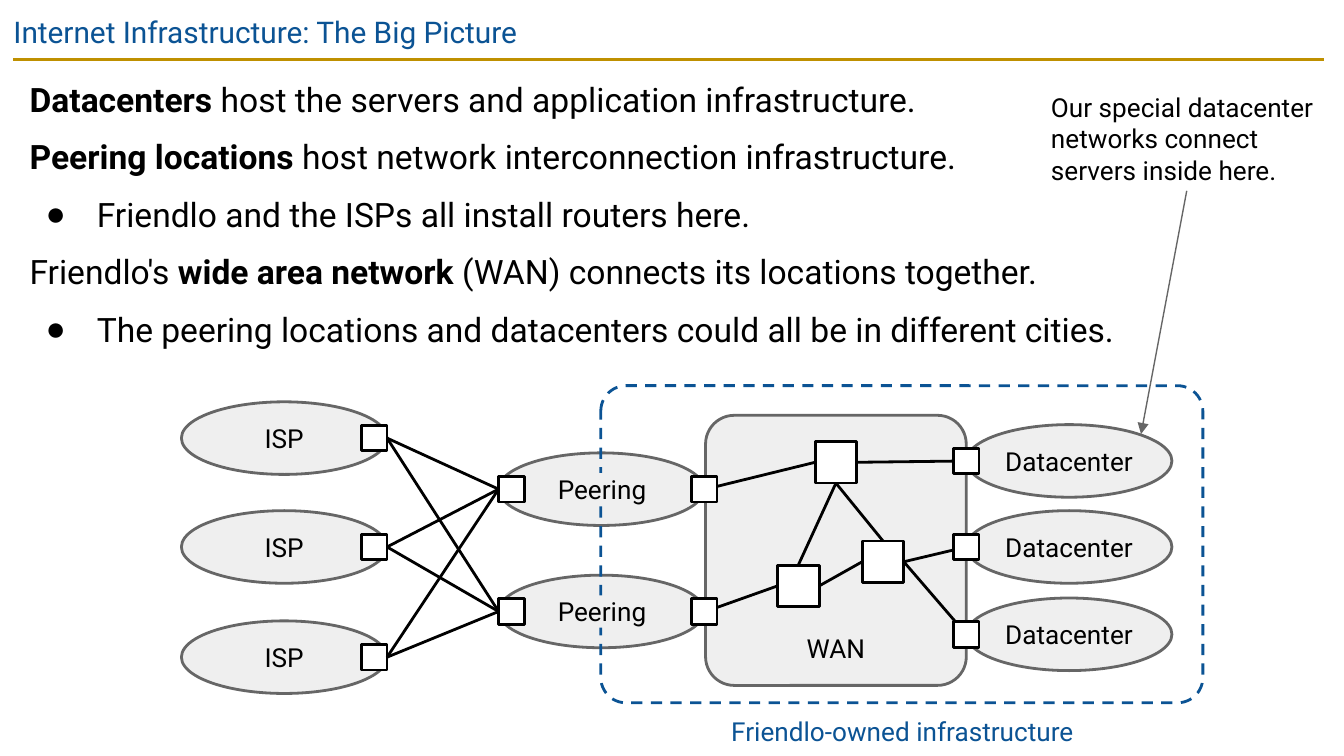
import pptx
import pptx.dml.color
import pptx.enum.dml
import pptx.enum.shapes
import pptx.enum.text
import pptx.oxml
import pptx.oxml.ns
import pptx.util
from pptx.util import Inches

RGBColor = pptx.dml.color.RGBColor
SHAPE = pptx.enum.shapes.MSO_SHAPE
ALIGN = pptx.enum.text.PP_ALIGN
ANCHOR = pptx.enum.text.MSO_ANCHOR

BLACK = RGBColor(0x00, 0x00, 0x00)
WHITE = RGBColor(0xFF, 0xFF, 0xFF)
BLUE = RGBColor(0x0B, 0x53, 0x94)
GOLD = RGBColor(0xBF, 0x90, 0x00)
GRAY = RGBColor(0x66, 0x66, 0x66)
PALE = RGBColor(0xEF, 0xEF, 0xEF)
FONT = "Roboto"
NAMESPACE = pptx.oxml.ns.nsdecls("a")

SLIDE_W = Inches(10)
SLIDE_H = SLIDE_W * 9 // 16
SITE_W, SITE_H = 1.53, 0.54
PORT, ROUTER = 0.19, 0.31
TOP, LEFT, BOTTOM, RIGHT = range(4)

ISP_X, PEERING_X, DATACENTER_X = 1.35, 3.71, 7.19
ISP_ROWS = (3.26, 4.07, 4.89)
PEERING_ROWS = (3.64, 4.55)
DATACENTER_ROWS = (3.43, 4.07, 4.72)
WAN_LEFT = 5.25

# Each paragraph: is it a bullet, then its (text, bold) runs
BODY = [
    (False, [("Datacenters", True),
             (" host the servers and application infrastructure.", False)]),
    (False, [("Peering locations", True),
             (" host network interconnection infrastructure.", False)]),
    (True, [("Friendlo and the ISPs all install routers here.", False)]),
    (False, [("Friendlo's ", False), ("wide area network", True),
             (" (WAN) connects its locations together.", False)]),
    (True, [("The peering locations and datacenters could all be in different cities.",
             False)]),
]


def style_font(font, size, color=BLACK, bold=False):
    font.name = FONT
    font.size = pptx.util.Pt(size)
    font.color.rgb = color
    font.bold = bold


def set_frame(box, inset, anchor=ANCHOR.TOP):
    frame = box.text_frame
    frame.word_wrap = True
    frame.auto_size = pptx.enum.text.MSO_AUTO_SIZE.NONE
    frame.vertical_anchor = anchor
    frame.margin_left = frame.margin_right = Inches(inset)
    frame.margin_top = frame.margin_bottom = Inches(inset)
    return frame


def write_label(box, text, color=BLACK, inset=0, align=ALIGN.CENTER, anchor=ANCHOR.TOP):
    frame = set_frame(box, inset, anchor)
    frame.text = text
    para = frame.paragraphs[0]
    para.alignment = align
    style_font(para.runs[0].font, 14, color)


def place(shape, left, top, width, height):
    shape.left, shape.top = Inches(left), Inches(top)
    shape.width, shape.height = Inches(width), Inches(height)


def add_text(slide, text, left, top, width, height, **options):
    box = slide.shapes.add_textbox(Inches(left), Inches(top), Inches(width), Inches(height))
    write_label(box, text, **options)


def add_box(slide, kind, left, top, width, height, fill=None, line=None):
    box = slide.shapes.add_shape(kind, Inches(left), Inches(top),
                                 Inches(width), Inches(height))
    box.shadow.inherit = False
    if fill is None:
        box.fill.background()
    else:
        box.fill.solid()
        box.fill.fore_color.rgb = fill
    if line is None:
        box.line.fill.background()
    else:
        box.line.color.rgb = line
        box.line.width = pptx.util.Pt(1.5)
    return box


def add_site(slide, left, middle, text=None):
    """Draw a location ellipse centred vertically on middle."""
    site = add_box(slide, SHAPE.OVAL, left, middle - SITE_H / 2, SITE_W, SITE_H, PALE, GRAY)
    if text:
        write_label(site, text, inset=0.03, anchor=ANCHOR.MIDDLE)


def add_square(slide, center_x, center_y, size):
    return add_box(slide, SHAPE.RECTANGLE, center_x - size / 2, center_y - size / 2,
                   size, size, WHITE, BLACK)


def add_line(slide, start, end, color=BLACK, width=1.5, arrow=False):
    """Each end is an (x, y) point or a (shape, side) joint."""
    joined = [hasattr(target, "shape_id") for target, _ in (start, end)]
    x1, y1 = (0, 0) if joined[0] else start
    x2, y2 = (0, 0) if joined[1] else end
    line = slide.shapes.add_connector(pptx.enum.shapes.MSO_CONNECTOR.STRAIGHT,
                                      Inches(x1), Inches(y1), Inches(x2), Inches(y2))
    if joined[0]:
        line.begin_connect(*start)
    if joined[1]:
        line.end_connect(*end)
    line.line.color.rgb = color
    line.line.width = pptx.util.Pt(width)
    properties = line._element.spPr
    if arrow:
        properties.find(pptx.oxml.ns.qn("a:ln")).append(
            pptx.oxml.parse_xml(f'<a:tailEnd {NAMESPACE} type="triangle"/>'))
    properties.append(pptx.oxml.parse_xml(f"<a:effectLst {NAMESPACE}/>"))


def set_bullet(para, bullet):
    properties = para._p.get_or_add_pPr()
    properties.set("marL", str(Inches(0.5 if bullet else 0)))
    properties.set("indent", str(Inches(-0.38 if bullet else 0)))
    if bullet:
        marks = [f'<a:buClr {NAMESPACE}><a:srgbClr val="{BLACK}"/></a:buClr>',
                 f'<a:buChar {NAMESPACE} char="●"/>']
    else:
        marks = [f"<a:buNone {NAMESPACE}/>"]
    for mark in marks:
        properties.append(pptx.oxml.parse_xml(mark))


def fill_title(slide):
    title = slide.shapes.title
    place(title, 0, 0, 10, 0.43)
    frame = set_frame(title, 0.1)
    frame.text = "Internet Infrastructure: The Big Picture"
    para = frame.paragraphs[0]
    para.alignment = ALIGN.LEFT
    style_font(para.runs[0].font, 16, BLUE)
    add_line(slide, (0.1, 0.44), (9.85, 0.44), GOLD)


def fill_body(slide):
    body = slide.placeholders[1]
    place(body, 0.12, 0.44, 9.74, 1.91)
    frame = set_frame(body, 0.1)
    for index, (bullet, runs) in enumerate(BODY):
        para = frame.add_paragraph() if index else frame.paragraphs[0]
        set_bullet(para, bullet)
        para.line_spacing = 1.15
        para.space_before = pptx.util.Pt(6 if index else 0)
        for text, bold in runs:
            run = para.add_run()
            run.text = text
            style_font(run.font, 18, bold=bold)


def draw_regions(slide):
    owned = add_box(slide, SHAPE.ROUNDED_RECTANGLE, 4.47, 2.87, 4.48, 2.36, line=BLUE)
    owned.adjustments[0] = 0.08
    owned.line.dash_style = pptx.enum.dml.MSO_LINE.DASH
    add_text(slide, "Friendlo-owned infrastructure", 5.19, 5.32, 3.05, 0.24, color=BLUE)
    wan = add_box(slide, SHAPE.ROUNDED_RECTANGLE, WAN_LEFT, 3.09, 1.94, 2.01, PALE, GRAY)
    wan.adjustments[0] = 0.11
    write_label(wan, "WAN", inset=0.1, anchor=ANCHOR.BOTTOM)


def draw_wan_links(slide):
    north, east, west = [add_square(slide, x, y, ROUTER)
                         for x, y in ((6.22, 3.44), (6.57, 4.18), (5.94, 4.36))]
    peerings = [(WAN_LEFT, row) for row in PEERING_ROWS]
    datacenters = [(DATACENTER_X, row) for row in DATACENTER_ROWS]
    for start, end in [
        ((north, LEFT), peerings[0]),
        ((west, LEFT), peerings[1]),
        ((west, TOP), (north, BOTTOM)),
        ((west, RIGHT), (east, LEFT)),
        ((east, TOP), (north, BOTTOM)),
        ((north, RIGHT), datacenters[0]),
        ((east, RIGHT), datacenters[1]),
        ((east, RIGHT), datacenters[2]),
    ]:
        add_line(slide, start, end)


def draw_ports(slide):
    isp_ports = [add_square(slide, ISP_X + SITE_W - PORT / 2, row, PORT) for row in ISP_ROWS]
    for row in PEERING_ROWS:
        port = add_square(slide, PEERING_X + PORT / 2, row, PORT)
        add_square(slide, PEERING_X + SITE_W, row, PORT)
        for isp_port in isp_ports:
            add_line(slide, (isp_port, RIGHT), (port, LEFT))
    for row in DATACENTER_ROWS:
        add_square(slide, DATACENTER_X, row, PORT)


def main():
    deck = pptx.Presentation()
    deck.slide_width, deck.slide_height = SLIDE_W, SLIDE_H
    slide = deck.slides.add_slide(deck.slide_layouts[1])
    fill_title(slide)
    fill_body(slide)
    for row in PEERING_ROWS:
        add_site(slide, PEERING_X, row)
    draw_regions(slide)
    for row in ISP_ROWS:
        add_site(slide, ISP_X, row, "ISP")
    for row in DATACENTER_ROWS:
        add_site(slide, DATACENTER_X, row, "Datacenter")
    draw_wan_links(slide)
    draw_ports(slide)
    for row in PEERING_ROWS:
        label = add_box(slide, SHAPE.RECTANGLE, 4.08, row - 0.12, 0.8, 0.24, PALE)
        write_label(label, "Peering")
    add_line(slide, (8.83, 1.42), (8.49, 3.23), GRAY, 0.75, arrow=True)
    add_text(slide, "Our special datacenter networks connect servers inside here.",
             7.79, 0.65, 2.07, 0.77, inset=0.03, align=ALIGN.LEFT)
    deck.save("out.pptx")


if __name__ == "__main__":
    main()
